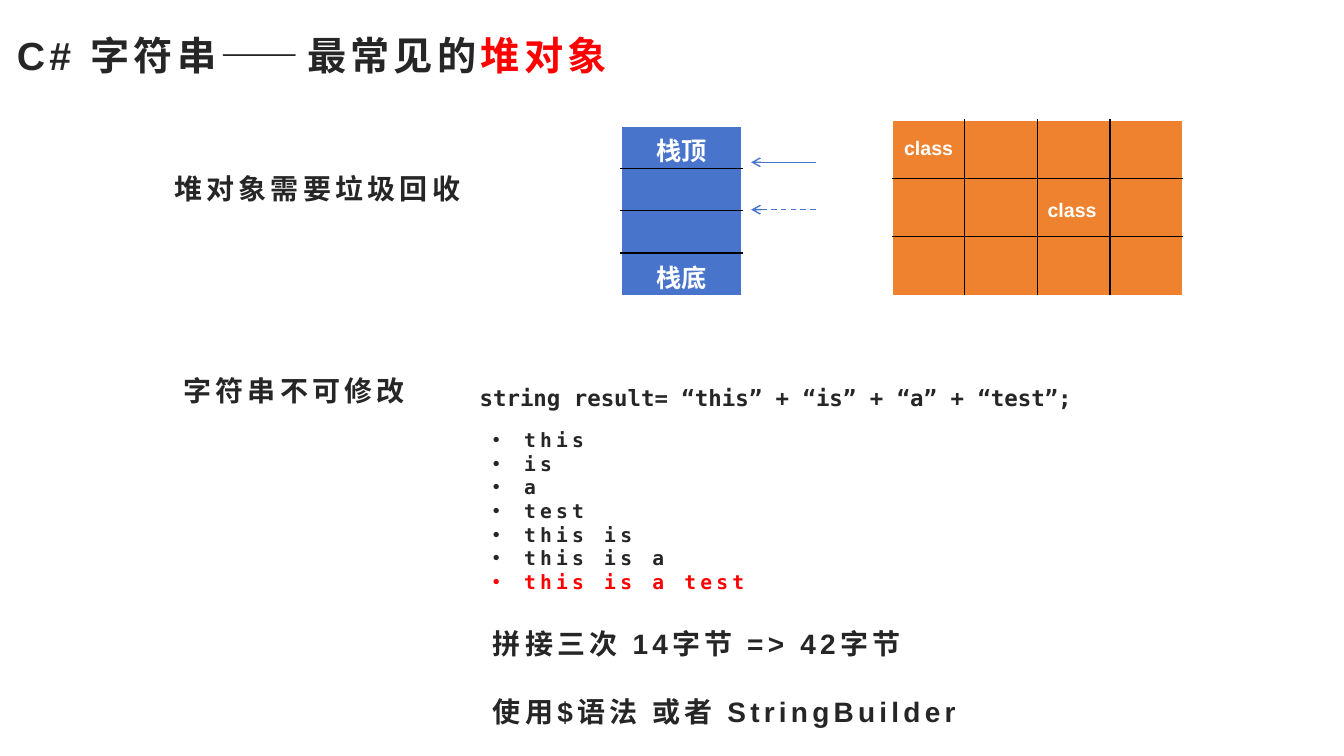
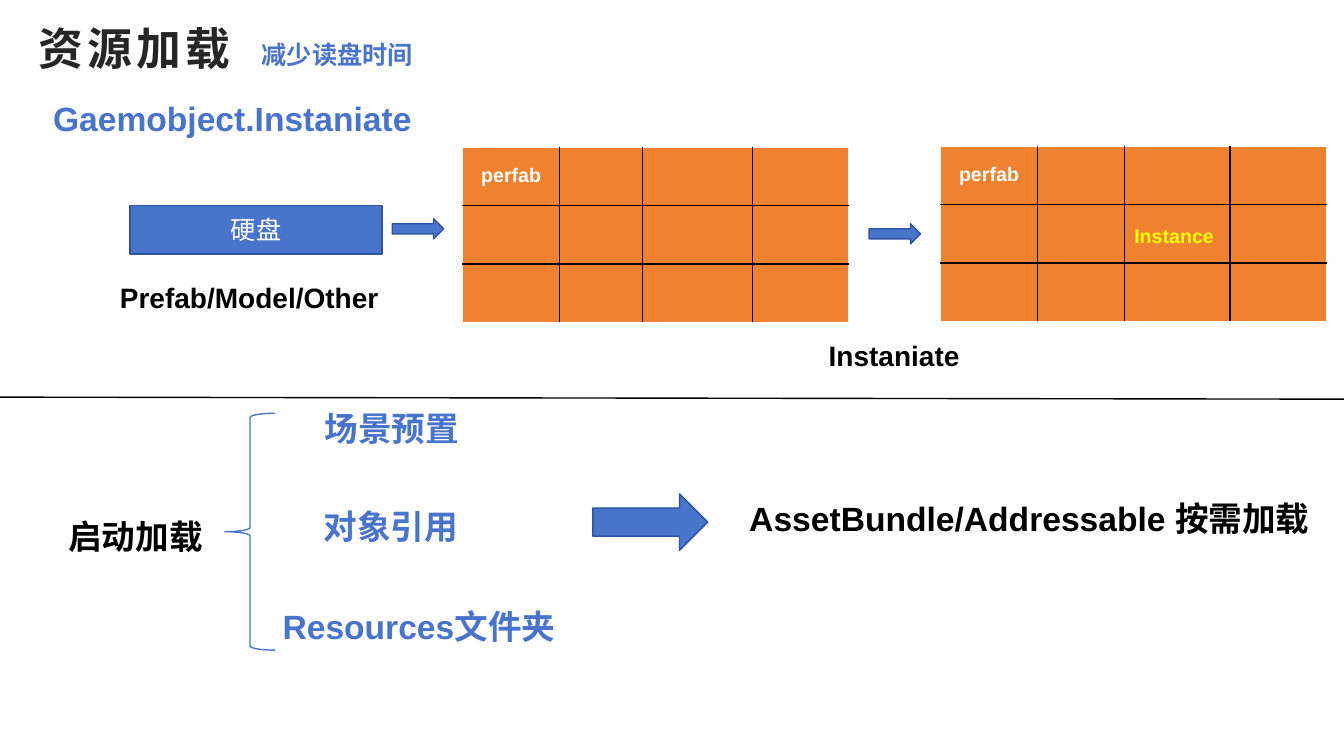
from lxml.etree import SubElement
from pptx import Presentation
from pptx.dml.color import RGBColor
from pptx.enum.dml import MSO_LINE
from pptx.enum.shapes import MSO_CONNECTOR, MSO_SHAPE
from pptx.enum.text import MSO_ANCHOR, PP_ALIGN
from pptx.oxml.ns import qn
from pptx.util import Inches, Pt

BLUE = RGBColor(0x48, 0x74, 0xCB)
DARK_BLUE = RGBColor(0x2E, 0x54, 0xA1)
ORANGE = RGBColor(0xEE, 0x82, 0x2F)
CHARCOAL = RGBColor(0x26, 0x26, 0x26)
BLACK = RGBColor(0, 0, 0)
WHITE = RGBColor(0xFF, 0xFF, 0xFF)
RED = RGBColor(0xFF, 0, 0)
YELLOW = RGBColor(0xFF, 0xFF, 0)
SANS = "Arial"
MONO = "DejaVu Sans Mono"


def add_text(slide, box, lines, size, color, font=SANS, align=PP_ALIGN.LEFT,
             anchor=MSO_ANCHOR.TOP, spaced=False, wrap=True):
    """Add a bold text box; each line is a list of (text, color) runs or a string."""
    frame = slide.shapes.add_textbox(*map(Inches, box)).text_frame
    frame.word_wrap = wrap
    frame.vertical_anchor = anchor
    for index, line in enumerate(lines):
        paragraph = frame.paragraphs[0] if index == 0 else frame.add_paragraph()
        paragraph.alignment = align
        paragraph.font.name = font
        paragraph.font.size = Pt(size)
        paragraph.font.bold = True
        for text, run_color in [(line, color)] if isinstance(line, str) else line:
            run = paragraph.add_run()
            run.text = text
            run.font.color.rgb = run_color
            if spaced:
                run.font._element.set("spc", "300")
    return frame


def add_grid(slide, left, top, widths, row_height, row_count, fill, labels,
             size, anchor):
    """Add a table with white outer and black inner borders."""
    column_count = len(widths)
    table = slide.shapes.add_table(
        row_count, column_count, Inches(left), Inches(top),
        Inches(sum(widths)), Inches(row_height * row_count)).table
    table.first_row = table.horz_banding = False
    for column, width in zip(table.columns, widths):
        column.width = Inches(width)
    for row in range(row_count):
        for column in range(column_count):
            cell = table.cell(row, column)
            properties = cell._tc.get_or_add_tcPr()
            outer_sides = (("a:lnL", column == 0), ("a:lnR", column == column_count - 1),
                           ("a:lnT", row == 0), ("a:lnB", row == row_count - 1))
            for tag, is_outer in outer_sides:
                border = SubElement(properties, qn(tag), w=str(Pt(1)))
                border_fill = SubElement(border, qn("a:solidFill"))
                SubElement(border_fill, qn("a:srgbClr"),
                           val=str(WHITE if is_outer else BLACK))
            cell.fill.solid()
            cell.fill.fore_color.rgb = fill
            cell.vertical_anchor = anchor
            if (row, column) in labels:
                text, color, align, line_spacing = labels[row, column]
                cell.text = text
                paragraph = cell.text_frame.paragraphs[0]
                paragraph.alignment = align
                paragraph.line_spacing = line_spacing
                paragraph.font.name = SANS
                paragraph.font.size = Pt(size)
                paragraph.font.bold = True
                paragraph.font.color.rgb = color


presentation = Presentation()
presentation.slide_width = Inches(13.33)
presentation.slide_height = Inches(7.5)
blank_layout = presentation.slide_layouts[6]

# Slide 1: strings as heap objects
slide = presentation.slides.add_slide(blank_layout)
add_text(slide, (0.07, -0.2, 9.15, 1.03),
         [[("C# 字符串——最常见的", CHARCOAL), ("堆对象", RED)]],
         28, CHARCOAL, anchor=MSO_ANCHOR.BOTTOM, spaced=True)
for left, top, text in ((1.63, 1.65, "堆对象需要垃圾回收"), (1.72, 3.66, "字符串不可修改")):
    add_text(slide, (left, top, 5.2, 0.44), [text], 20, CHARCOAL, spaced=True)

# Stack and heap
add_grid(slide, 6.16, 1.25, [1.2], 0.42, 4, BLUE,
         {(0, 0): ("栈顶", WHITE, PP_ALIGN.CENTER, 1.0),
          (3, 0): ("栈底", WHITE, PP_ALIGN.CENTER, 1.0)}, 18, MSO_ANCHOR.TOP)
add_grid(slide, 8.85, 1.19, [0.72] * 4, 0.58, 3, ORANGE,
         {(0, 0): ("class", WHITE, PP_ALIGN.CENTER, 0.9),
          (1, 2): ("class", WHITE, PP_ALIGN.JUSTIFY, 1.3)}, 14, MSO_ANCHOR.MIDDLE)

# Stack pointers
for top, dash in ((1.61, None), (2.08, MSO_LINE.DASH)):
    pointer = slide.shapes.add_connector(
        MSO_CONNECTOR.STRAIGHT, Inches(8.09), Inches(top), Inches(7.45), Inches(top))
    pointer.line.color.rgb = BLUE
    pointer.line.width = Pt(1)
    if dash:
        pointer.line.dash_style = dash
    SubElement(pointer.line._get_or_add_ln(), qn("a:tailEnd"), type="arrow")
    SubElement(pointer._element.spPr, qn("a:effectLst"))

# Concatenation example
add_text(slide, (4.66, 3.76, 8.13, 0.37),
         ["string result= “this” + “is” + “a” + “test”;"], 16, CHARCOAL, MONO)
pieces = ["this", "is", "a", "test", "this is", "this is a"]
bullet_frame = add_text(slide, (4.79, 4.2, 6.67, 1.75),
                        pieces + [[("this is a test", RED)]],
                        14, CHARCOAL, MONO, spaced=True)
for paragraph in bullet_frame.paragraphs:
    properties = paragraph._p.get_or_add_pPr()
    properties.set("marL", str(Inches(0.31)))
    properties.set("indent", str(-Inches(0.31)))
    bullet_font = SubElement(properties, qn("a:buFont"), typeface=SANS)
    bullet = SubElement(properties, qn("a:buChar"), char="•")
    properties.insert(0, bullet_font)
    properties.insert(1, bullet)
conclusion = add_text(slide, (4.79, 6.17, 8.54, 1.11),
                      ["拼接三次 14字节 => 42字节", "使用$语法 或者 StringBuilder"],
                      20, CHARCOAL, spaced=True)
conclusion.paragraphs[1].space_before = Pt(24)

# Slide 2: resource loading
slide = presentation.slides.add_slide(blank_layout)
add_text(slide, (0.28, 0.23, 3.35, 0.56), ["资源加载"], 32, CHARCOAL,
         anchor=MSO_ANCHOR.BOTTOM, spaced=True)
for left, top, width, text, size, color in (
        (0.91, 0.26, 4.87, "减少读盘时间", 18, BLUE),
        (-0.13, 0.89, 4.87, "Gaemobject.Instaniate", 24, BLUE),
        (-1.09, 5.03, 4.87, "启动加载", 24, BLACK),
        (1.45, 3.96, 4.87, "场景预置", 24, BLUE),
        (1.44, 4.93, 4.87, "对象引用", 24, BLUE),
        (1.72, 5.93, 4.87, "Resources文件夹", 24, BLUE),
        (6.83, 4.85, 6.76, "AssetBundle/Addressable 按需加载", 24, BLACK)):
    add_text(slide, (left, top, width, 0.57), [text], size, color,
             align=PP_ALIGN.CENTER, anchor=MSO_ANCHOR.MIDDLE)
for left, top, width, text in ((1.09, 2.73, 2.79, "Prefab/Model/Other"),
                               (8.12, 3.31, 1.51, "Instaniate")):
    add_text(slide, (left, top, width, 0.44), [text], 20, BLACK, wrap=False)

# Memory before and after instantiation
prefab = ("perfab", WHITE, PP_ALIGN.CENTER, 0.9)
instance = ("Instance", YELLOW, PP_ALIGN.JUSTIFY, 1.3)
for left, top, widths, labels in (
        (4.59, 1.46, [0.96, 0.82, 1.09, 0.96], {(0, 0): prefab}),
        (9.33, 1.45, [0.96, 0.86, 1.05, 0.96], {(0, 0): prefab, (1, 2): instance})):
    add_grid(slide, left, top, widths, 0.58, 3, ORANGE, labels, 14, MSO_ANCHOR.MIDDLE)

# Disk and block arrows
for kind, box, text in (
        (MSO_SHAPE.RECTANGLE, (1.29, 2.04, 2.5, 0.48), "硬盘"),
        (MSO_SHAPE.RIGHT_ARROW, (3.89, 2.17, 0.51, 0.2), ""),
        (MSO_SHAPE.RIGHT_ARROW, (8.62, 2.22, 0.51, 0.2), ""),
        (MSO_SHAPE.RIGHT_ARROW, (5.88, 4.9, 1.14, 0.56), "")):
    shape = slide.shapes.add_shape(kind, *map(Inches, box))
    shape.shadow.inherit = False
    shape.fill.solid()
    shape.fill.fore_color.rgb = BLUE
    shape.line.color.rgb = DARK_BLUE
    shape.line.width = Pt(1)
    if text:
        shape.text_frame.text = text
        paragraph = shape.text_frame.paragraphs[0]
        paragraph.alignment = PP_ALIGN.CENTER
        paragraph.font.name = SANS
        paragraph.font.size = Pt(18)
        paragraph.font.color.rgb = WHITE

# Divider and brace
divider = slide.shapes.add_connector(
    MSO_CONNECTOR.STRAIGHT, Inches(0), Inches(3.94), Inches(13.33), Inches(3.96))
divider.line.color.rgb = BLACK
divider.line.width = Pt(1)
SubElement(divider._element.spPr, qn("a:effectLst"))
brace = slide.shapes.add_shape(
    MSO_SHAPE.LEFT_BRACE, Inches(2.23), Inches(4.1), Inches(0.5), Inches(2.35))
brace.shadow.inherit = False
brace.fill.background()
brace.line.color.rgb = BLUE
brace.line.width = Pt(1)

presentation.save("out.pptx")
